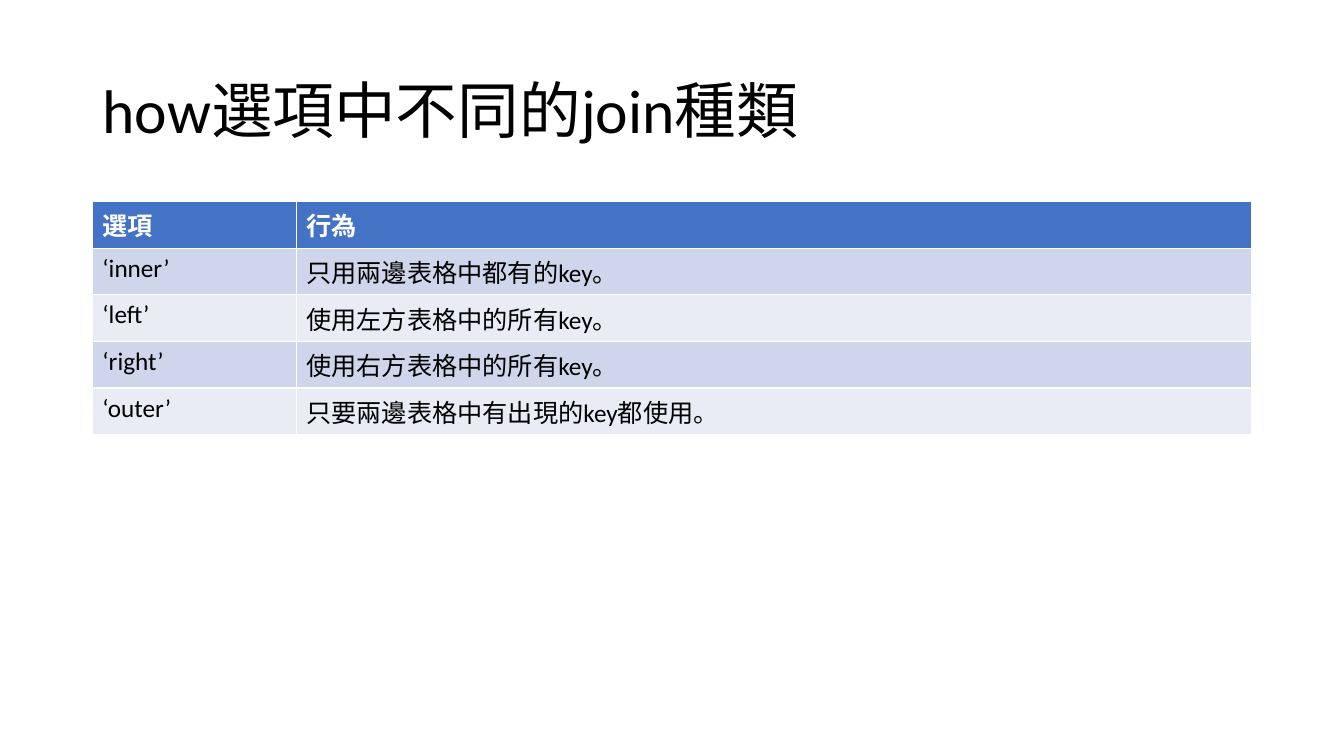
from dataclasses import dataclass

from pptx import Presentation
from pptx.dml.color import RGBColor
from pptx.enum.text import MSO_ANCHOR, MSO_AUTO_SIZE, PP_ALIGN
from pptx.util import Pt


@dataclass(frozen=True)
class Theme:
    font: str = "Calibri"
    ink: str = "000000"
    paper: str = "FFFFFF"
    head: str = "4472C4"
    bands: tuple = ("CFD5EA", "E9EBF5")
    title: int = 44
    body: int = 18


THEME = Theme()
ROWS = [
    ("選項", "行為"),
    ("‘inner’", "只用兩邊表格中都有的key。"),
    ("‘left’", "使用左方表格中的所有key。"),
    ("‘right’", "使用右方表格中的所有key。"),
    ("‘outer’", "只要兩邊表格中有出現的key都使用。"),
]


def style(frame, size, color, bold=False):
    for par in frame.paragraphs:
        for run in par.runs:
            font = run.font
            font.name = THEME.font
            font.size = Pt(size)
            font.bold = bold
            font.color.rgb = RGBColor.from_string(color)


def add_title(slide, text, left, top, width, height):
    title = slide.shapes.title
    title.left, title.top = Pt(left), Pt(top)
    title.width, title.height = Pt(width), Pt(height)
    frame = title.text_frame
    frame.text = text
    frame.word_wrap = True
    frame.auto_size = MSO_AUTO_SIZE.NONE
    frame.vertical_anchor = MSO_ANCHOR.MIDDLE
    par = frame.paragraphs[0]
    par.alignment = PP_ALIGN.LEFT
    par.line_spacing = 0.9
    style(frame, THEME.title, THEME.ink)


def add_options(slide, rows, left, top, width, height, key_width):
    # The default table style draws the white rules
    table = slide.shapes.add_table(
        len(rows), 2, Pt(left), Pt(top), Pt(width), Pt(height)
    ).table
    table.columns[0].width = Pt(key_width)
    table.columns[1].width = Pt(width - key_width)

    for i, row in enumerate(rows):
        head = i == 0
        fill = THEME.head if head else THEME.bands[(i - 1) % 2]
        color = THEME.paper if head else THEME.ink
        for j, text in enumerate(row):
            cell = table.cell(i, j)
            cell.text_frame.text = text
            cell.fill.solid()
            cell.fill.fore_color.rgb = RGBColor.from_string(fill)
            style(cell.text_frame, THEME.body, color, head)


def main():
    deck = Presentation()
    deck.slide_width, deck.slide_height = Pt(960), Pt(540)
    slide = deck.slides.add_slide(deck.slide_layouts[5])

    # Heading and option table share the same margins
    left, width = 66, 828
    add_title(slide, "how選項中不同的join種類", left, 28.75, width, 104.4)
    add_options(slide, ROWS, left, 144, width, 146, 145.6)

    deck.save("out.pptx")


if __name__ == "__main__":
    main()
